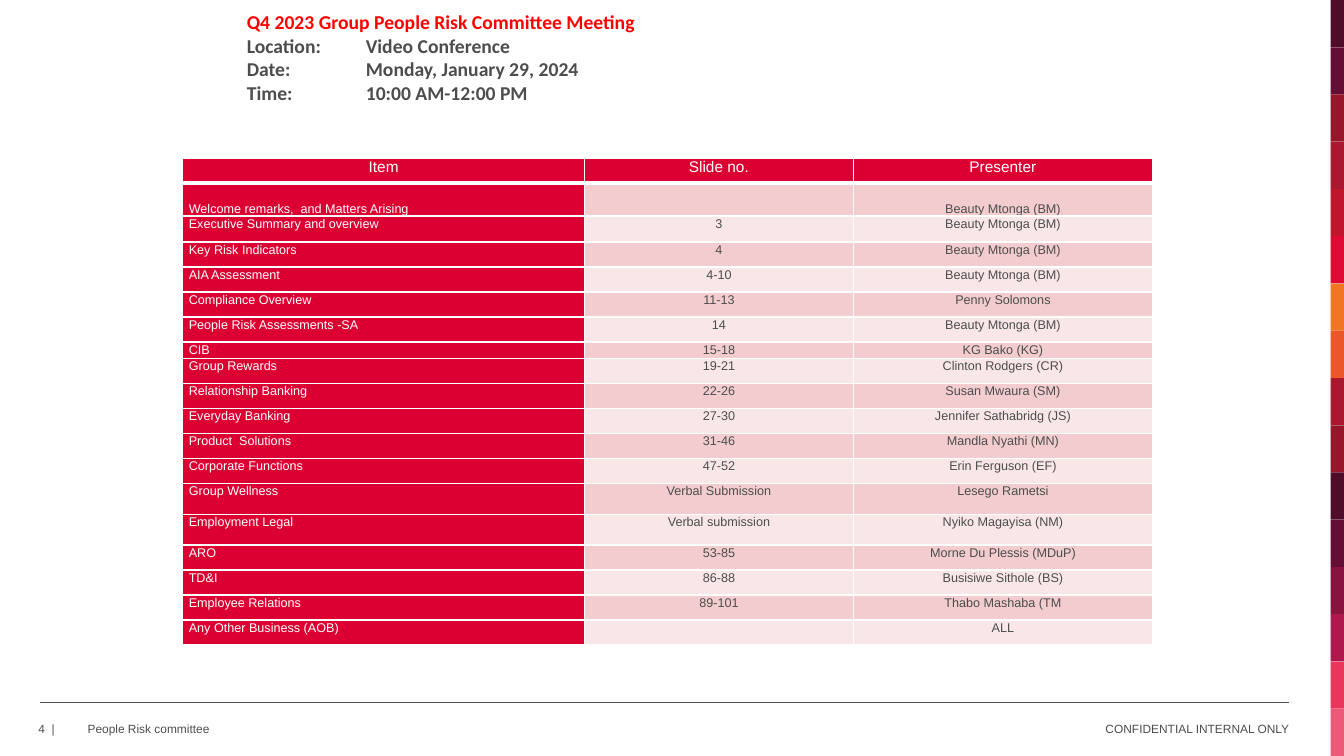
from dataclasses import dataclass
from typing import Any

from lxml import etree
from pptx import Presentation
from pptx.dml.color import RGBColor
from pptx.enum.shapes import MSO_CONNECTOR, MSO_SHAPE
from pptx.enum.text import MSO_ANCHOR, PP_ALIGN
from pptx.oxml.ns import qn
from pptx.util import Pt

LEFT, CENTER, RIGHT = PP_ALIGN.LEFT, PP_ALIGN.CENTER, PP_ALIGN.RIGHT
TOP, MIDDLE, BOTTOM = MSO_ANCHOR.TOP, MSO_ANCHOR.MIDDLE, MSO_ANCHOR.BOTTOM
RECTANGLE, STRAIGHT = MSO_SHAPE.RECTANGLE, MSO_CONNECTOR.STRAIGHT


@dataclass(frozen=True)
class Theme:
    body_font: str = "Arial"
    heading_font: str = "Calibri"
    text: str = "4D4D4D"
    white: str = "FFFFFF"
    alert: str = "FF0000"
    brand: str = "DC0032"
    bands: tuple[str, str] = ("F2CCCE", "F9E7E8")
    stripes: tuple[str, ...] = (
        "500D29", "650E35", "96172B", "AA1830", "BE172B", "DC0A34", "EF7721", "EA5728",
        "AA1830", "96172B", "500D29", "650E35", "88133E", "AF184C", "E8365C", "EB5A79")
    heading_size: float = 14
    header_size: float = 11
    cell_size: float = 9
    footer_size: float = 8.5


@dataclass(frozen=True)
class AgendaRow:
    item: str
    slides: str
    presenter: str
    height: float = 17.86
    anchor: Any = TOP


@dataclass(frozen=True)
class FooterText:
    text: str
    left: float
    width: float
    align: Any = LEFT


THEME = Theme()
SLIDE_W, SLIDE_H = 960, 540
STRIPE_LEFT = 950.4
TABLE_LEFT, TABLE_TOP = 130.6, 113.2
COLUMN_WIDTHS = (286.9, 192.1, 213.6)
HEADER = AgendaRow("Item", "Slide no.", "Presenter", 17.6)
AGENDA = (
    AgendaRow("Welcome remarks,  and Matters Arising", "", "Beauty Mtonga (BM)", 23.6, BOTTOM),
    AgendaRow("Executive Summary and overview", "3", "Beauty Mtonga (BM)", 18.5),
    AgendaRow("Key Risk Indicators", "4", "Beauty Mtonga (BM)"),
    AgendaRow("AIA Assessment", "4-10", "Beauty Mtonga (BM)"),
    AgendaRow("Compliance Overview", "11-13", "Penny Solomons"),
    AgendaRow("People Risk Assessments -SA", "14", "Beauty Mtonga (BM)"),
    AgendaRow("CIB", "15-18", "KG Bako (KG)", 11.4),
    AgendaRow("Group Rewards", "19-21", "Clinton Rodgers (CR)"),
    AgendaRow("Relationship Banking", "22-26", "Susan Mwaura (SM)"),
    AgendaRow("Everyday Banking", "27-30", "Jennifer Sathabridg (JS)"),
    AgendaRow("Product  Solutions", "31-46", "Mandla Nyathi (MN)"),
    AgendaRow("Corporate Functions", "47-52", "Erin Ferguson (EF)"),
    AgendaRow("Group Wellness", "Verbal Submission", "Lesego Rametsi", 22.1),
    AgendaRow("Employment Legal", "Verbal submission", "Nyiko Magayisa (NM)", 22.1),
    AgendaRow("ARO", "53-85", "Morne Du Plessis (MDuP)"),
    AgendaRow("TD&I", "86-88", "Busisiwe Sithole (BS)"),
    AgendaRow("Employee Relations", "89-101", "Thabo Mashaba (TM"),
    AgendaRow("Any Other Business (AOB)", "", "ALL"),
)
MEETING_TITLE = "Q4 2023 Group People Risk Committee Meeting"
MEETING_DETAILS = (
    ("Location:", "Video Conference"),
    ("Date:", "Monday, January 29, 2024"),
    ("Time:", "10:00 AM-12:00 PM"),
)
FOOTERS = (
    FooterText("4  |", 27.4, 31.7),
    FooterText("People Risk committee", 62.6, 396.7),
    FooterText("CONFIDENTIAL INTERNAL ONLY", 524.2, 396.7, RIGHT),
)


def set_attrs(target: Any, values: dict[str, Any]) -> None:
    for name, value in values.items():
        setattr(target, name, value)


def add_run(p: Any, text: str, font: str, size: float, color: str, bold: bool = False) -> None:
    r = p.add_run()
    r.text = text
    set_attrs(r.font, {"name": font, "size": Pt(size), "bold": bold})
    r.font.color.rgb = RGBColor.from_string(color)


def add_text_box(s: Any, left: float, top: float, width: float, height: float) -> Any:
    sp = s.shapes.add_textbox(Pt(left), Pt(top), Pt(width), Pt(height))
    sp.text_frame.word_wrap = True
    return sp.text_frame


def add_stripes(s: Any) -> None:
    height = SLIDE_H / len(THEME.stripes)
    for i, color in enumerate(THEME.stripes):
        sp = s.shapes.add_shape(
            RECTANGLE, Pt(STRIPE_LEFT), Pt(i * height), Pt(SLIDE_W - STRIPE_LEFT), Pt(height))
        sp.shadow.inherit = False
        sp.fill.solid()
        sp.fill.fore_color.rgb = RGBColor.from_string(color)
        sp.line.fill.background()


def add_footer(s: Any) -> None:
    rule = s.shapes.add_connector(STRAIGHT, Pt(28.4), Pt(501.8), Pt(920.9), Pt(501.8))
    rule.line.width = Pt(1)
    rule.line.color.rgb = RGBColor.from_string(THEME.text)
    etree.SubElement(rule._element.spPr, qn("a:effectLst"))
    for footer in FOOTERS:
        tf = add_text_box(s, footer.left, 514.8, footer.width, 12.2)
        set_attrs(tf, {"margin_left": 0, "margin_right": 0, "margin_top": 0,
                       "margin_bottom": 0, "vertical_anchor": MIDDLE})
        p = tf.paragraphs[0]
        p.alignment = footer.align
        add_run(p, footer.text, THEME.body_font, THEME.footer_size, THEME.text)


def add_meeting_details(s: Any) -> None:
    tf = add_text_box(s, 169.2, 3.6, 481, 74.9)
    add_run(tf.paragraphs[0], MEETING_TITLE, THEME.heading_font, THEME.heading_size,
            THEME.alert, True)
    for label, value in MEETING_DETAILS:
        p = tf.add_paragraph()
        tabs = etree.SubElement(p._p.get_or_add_pPr(), qn("a:tabLst"))
        etree.SubElement(tabs, qn("a:tab"), pos=str(Pt(85)), algn="l")
        add_run(p, f"{label}\t{value}", THEME.heading_font, THEME.heading_size,
                THEME.text, True)


def set_borders(cell: Any, bottom: float) -> None:
    tc_pr = cell._tc.get_or_add_tcPr()
    widths = {"lnL": 1, "lnR": 1, "lnT": 1, "lnB": bottom}
    for i, (side, width) in enumerate(widths.items()):
        ln = etree.Element(qn(f"a:{side}"), w=str(Pt(width)))
        fill = etree.SubElement(ln, qn("a:solidFill"))
        etree.SubElement(fill, qn("a:srgbClr"), val=THEME.white)
        tc_pr.insert(i, ln)


def fill_cell(cell: Any, text: str, row: int, column: int, anchor: Any) -> None:
    is_header = row == 0
    is_brand = is_header or column == 0
    size = THEME.header_size if is_header else THEME.cell_size
    set_attrs(cell, {"margin_left": Pt(4.3), "margin_right": Pt(4.3), "margin_top": 0,
                     "margin_bottom": 0, "vertical_anchor": anchor})
    cell.fill.solid()
    cell.fill.fore_color.rgb = RGBColor.from_string(
        THEME.brand if is_brand else THEME.bands[(row - 1) % 2])
    set_borders(cell, 3 if is_header else 1)
    p = cell.text_frame.paragraphs[0]
    set_attrs(p, {"alignment": CENTER if is_header or column else LEFT,
                  "line_spacing": 1.0 if is_header else 1.07})
    if text:
        add_run(p, text, THEME.body_font, size, THEME.white if is_brand else THEME.text)
    else:
        etree.SubElement(p._p, qn("a:endParaRPr"), sz=str(int(size * 100)))


def add_agenda(s: Any) -> None:
    rows = (HEADER, *AGENDA)
    table = s.shapes.add_table(
        len(rows), len(COLUMN_WIDTHS), Pt(TABLE_LEFT), Pt(TABLE_TOP),
        Pt(sum(COLUMN_WIDTHS)), Pt(sum(row.height for row in rows))).table
    for column, width in zip(table.columns, COLUMN_WIDTHS):
        column.width = Pt(width)
    for i, row in enumerate(rows):
        table.rows[i].height = Pt(row.height)
        for j, text in enumerate((row.item, row.slides, row.presenter)):
            fill_cell(table.cell(i, j), text, i, j, row.anchor)


def main() -> None:
    prs = Presentation()
    set_attrs(prs, {"slide_width": Pt(SLIDE_W), "slide_height": Pt(SLIDE_H)})
    s = prs.slides.add_slide(prs.slide_layouts[6])
    add_stripes(s)
    add_footer(s)
    add_meeting_details(s)
    add_agenda(s)
    prs.save("out.pptx")


if __name__ == "__main__":
    main()
